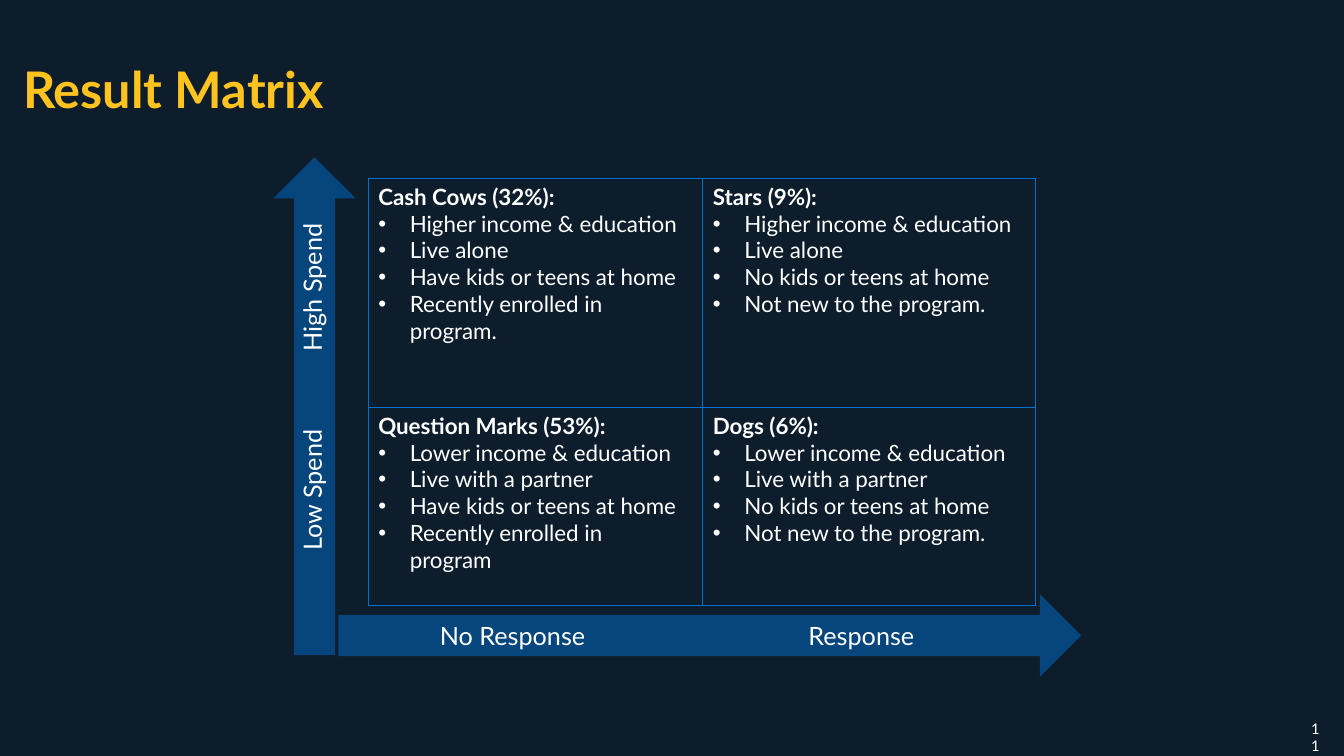
"""Build the Result Matrix slide: a two-by-two table of segments with arrow axes."""
from lxml.etree import SubElement
from pptx import Presentation
from pptx.dml.color import RGBColor
from pptx.enum.shapes import MSO_SHAPE
from pptx.enum.text import MSO_ANCHOR, MSO_AUTO_SIZE, PP_ALIGN
from pptx.oxml.ns import qn
from pptx.util import Pt

WHITE = "FEFFFF"
BLUE = "0070CE"
SEGMENTS = [
    [
        ("Cash Cows (32%):", ["Higher income & education", "Live alone",
                              "Have kids or teens at home", "Recently enrolled in program."]),
        ("Stars (9%):", ["Higher income & education", "Live alone",
                         "No kids or teens at home", "Not new to the program."]),
    ],
    [
        ("Question Marks (53%):", ["Lower income & education", "Live with a partner",
                                   "Have kids or teens at home", "Recently enrolled in program"]),
        ("Dogs (6%):", ["Lower income & education", "Live with a partner",
                        "No kids or teens at home", "Not new to the program."]),
    ],
]


def color(value):
    return RGBColor.from_string(value)


def format_text(paragraph, size, value=WHITE, bold=False, align=PP_ALIGN.LEFT):
    paragraph.alignment = align
    paragraph.font.name = "Lato"
    paragraph.font.size = Pt(size)
    paragraph.font.bold = bold
    paragraph.font.color.rgb = color(value)


deck = Presentation()
deck.slide_width, deck.slide_height = Pt(960), Pt(540)
page = deck.slides.add_slide(deck.slide_layouts[5])
page.background.fill.solid()
page.background.fill.fore_color.rgb = color("0D1D2B")

title = page.shapes.title
title.left, title.top, title.width, title.height = Pt(9.4), Pt(18), Pt(561.6), Pt(90)
title.text_frame.text = "Result Matrix"
title.text_frame.auto_size = MSO_AUTO_SIZE.NONE
title.text_frame.vertical_anchor = MSO_ANCHOR.MIDDLE
format_text(title.text_frame.paragraphs[0], 36, "FFC31F", bold=True)

matrix = page.shapes.add_table(2, 2, Pt(263), Pt(127.4), Pt(476.6), Pt(305)).table
matrix.first_row = matrix.horz_banding = False
for column, width in zip(matrix.columns, (239, 237.6)):
    column.width = Pt(width)
for row, height in zip(matrix.rows, (163.5, 141.5)):
    row.height = Pt(height)

for row_index, row in enumerate(SEGMENTS):
    for column_index, (name, traits) in enumerate(row):
        cell = matrix.cell(row_index, column_index)
        cell.margin_right = Pt(12)
        properties = cell._tc.get_or_add_tcPr()
        for side in ("a:lnL", "a:lnR", "a:lnT", "a:lnB"):
            border = SubElement(properties, qn(side), w=str(Pt(1)))
            fill = SubElement(border, qn("a:solidFill"))
            SubElement(fill, qn("a:srgbClr"), val=BLUE)
        cell.fill.background()
        cell.text_frame.text = "\n".join([name, *traits])
        heading, *bullets = cell.text_frame.paragraphs
        format_text(heading, 16, bold=True)
        for bullet in bullets:
            indent = bullet._p.get_or_add_pPr()
            indent.set("marL", str(Pt(22.5)))
            indent.set("indent", str(Pt(-22.5)))
            SubElement(indent, qn("a:buFont"), typeface="Arial")
            SubElement(indent, qn("a:buChar"), char="•")
            format_text(bullet, 16)

for left, top, height, rotation in [(195.1, 112.3, 355.7, 0), (477.4, 188.6, 530.6, 90)]:
    arrow = page.shapes.add_shape(MSO_SHAPE.UP_ARROW, Pt(left), Pt(top), Pt(59), Pt(height))
    arrow.rotation = rotation
    arrow.shadow.inherit = False
    arrow.fill.solid()
    arrow.fill.fore_color.rgb = color(BLUE)
    shade = arrow._element.spPr.find(qn("a:solidFill")).find(qn("a:srgbClr"))
    SubElement(shade, qn("a:alpha"), val="50000")
    arrow.line.fill.background()

LABELS = [
    ("No Response", 276.5, 439.2, 0),
    ("Response", 525.6, 439.2, 0),
    ("Low Spend", 133.2, 335.5, 270),
    ("High Spend", 133.2, 190.8, 270),
]
for label, left, top, rotation in LABELS:
    box = page.shapes.add_textbox(Pt(left), Pt(top), Pt(179.3), Pt(29))
    box.rotation = rotation
    box.text_frame.word_wrap = True
    box.text_frame.text = label
    format_text(box.text_frame.paragraphs[0], 18, align=PP_ALIGN.CENTER)

number = page.shapes.add_textbox(Pt(929.5), Pt(510.5), Pt(25.2), Pt(20.2))
number.text_frame.word_wrap = True
number.text_frame.text = "11"
format_text(number.text_frame.paragraphs[0], 10.5)

deck.save("out.pptx")
